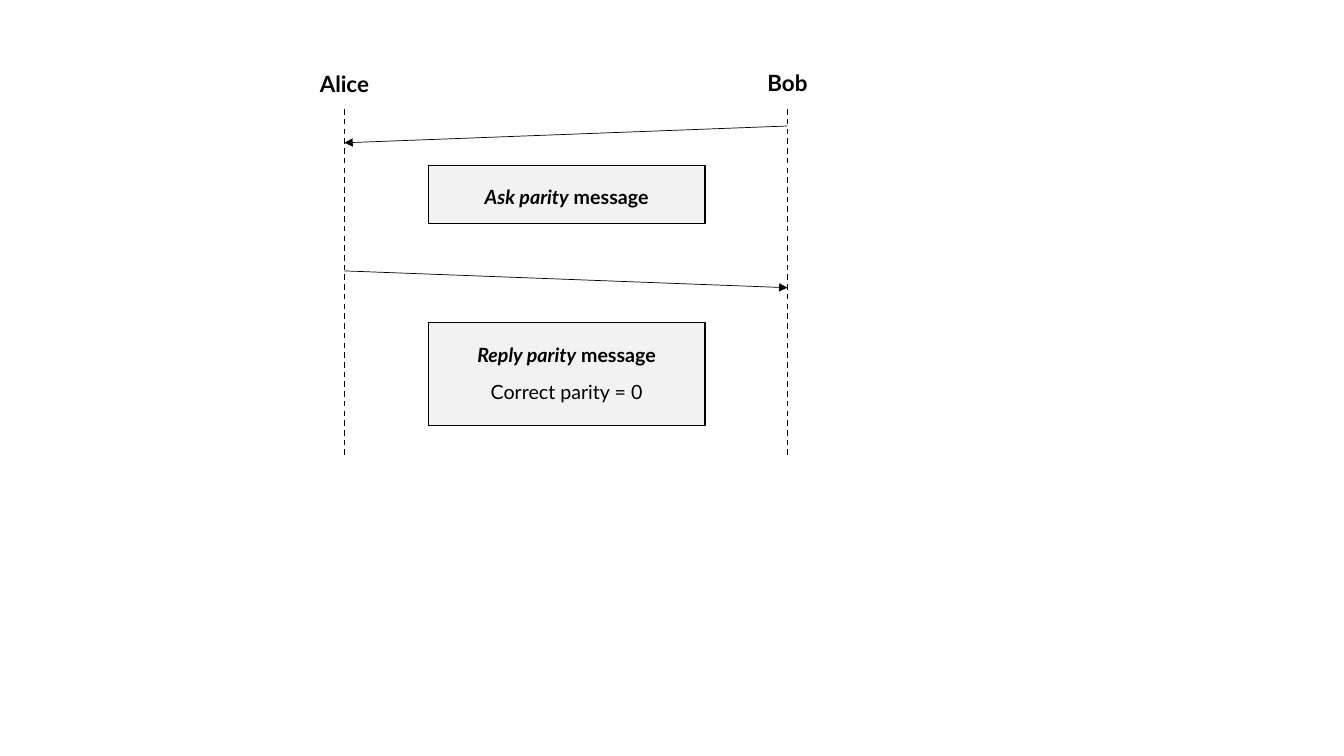
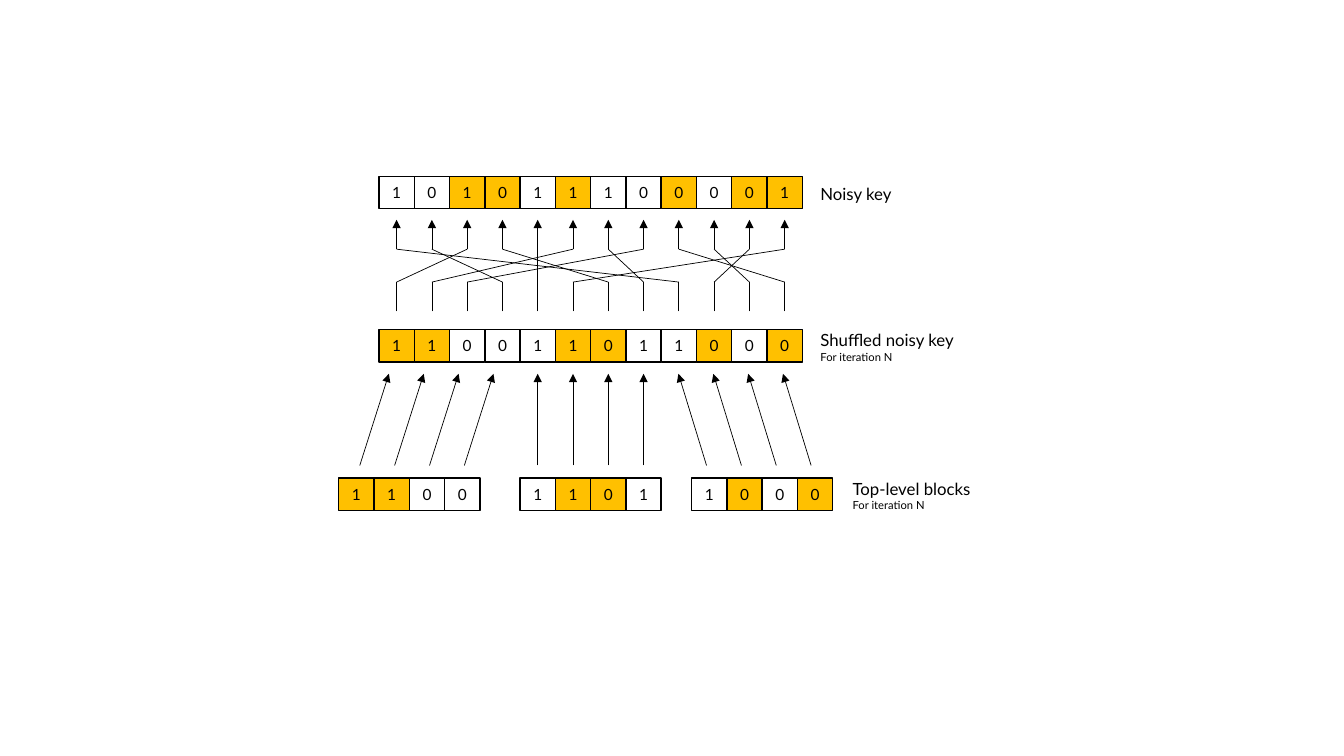
from dataclasses import dataclass

import lxml.etree
import pptx
import pptx.dml.color
import pptx.enum.dml
import pptx.enum.shapes
import pptx.enum.text
import pptx.oxml.ns
import pptx.util

Pt = pptx.util.Pt
RGB = pptx.dml.color.RGBColor
ALIGN = pptx.enum.text.PP_ALIGN
ANCHOR = pptx.enum.text.MSO_ANCHOR


@dataclass(frozen=True)
class Theme:
    font: str = "Lato"
    ink: RGB = RGB.from_string("000000")
    message_fill: RGB = RGB.from_string("F2F2F2")
    marked_fill: RGB = RGB.from_string("FFC000")
    party_size: float = 16
    message_size: float = 14
    caption_size: float = 12
    bit_size: float = 11
    note_size: float = 8
    outline: float = 1
    arrow: float = 0.5


THEME = Theme()

ALICE_X, BOB_X = 246, 562.5
LIFELINE_TOP, LIFELINE_BOTTOM = 78, 327.5

CELL_WIDTH, CELL_HEIGHT = 25.2, 23
KEY_LEFT = 270.7
NOISY_TOP, SHUFFLED_TOP, BLOCKS_TOP = 126, 235.5, 341.5
KEY_CAPTION_LEFT, BLOCKS_CAPTION_LEFT = 586, 609
HEAD_Y, CROSS_TOP, CROSS_BOTTOM, TAIL_Y = 157, 178, 201.5, 222.5
BLOCK_HEAD_Y, BLOCK_TAIL_Y = 267, 332.5

NOISY_KEY = "101011100001"
MARKED = {2, 3, 5, 8, 10, 11}
SHUFFLE = (2, 5, 7, 1, 4, 11, 3, 6, 0, 10, 9, 8)
BLOCK_SIZE = 4
BLOCKS = (
    (242, 257, 277.8, 24.9),
    (371.5, 384.1, 384.1, CELL_WIDTH),
    (494, 504.7, 484.6, 24.9),
)


def add_run(paragraph, text, size, bold=False, italic=False):
    run = paragraph.add_run()
    run.text = text
    run.font.name = THEME.font
    run.font.size = Pt(size)
    run.font.bold = bold
    run.font.italic = italic
    run.font.color.rgb = THEME.ink


def set_frame(frame, anchor, top_inset=0):
    frame.word_wrap = True
    frame.vertical_anchor = anchor
    frame.margin_left = frame.margin_right = frame.margin_bottom = 0
    frame.margin_top = Pt(top_inset)


def add_label(slide, left, top, width, height, lines, align, bold=False):
    frame = slide.shapes.add_textbox(Pt(left), Pt(top), Pt(width), Pt(height)).text_frame
    set_frame(frame, ANCHOR.MIDDLE)
    for index, (text, size) in enumerate(lines):
        paragraph = frame.add_paragraph() if index else frame.paragraphs[0]
        paragraph.alignment = align
        add_run(paragraph, text, size, bold)


def add_box(shapes, left, top, width, height, fill=None):
    box = shapes.add_shape(
        pptx.enum.shapes.MSO_SHAPE.RECTANGLE, Pt(left), Pt(top), Pt(width), Pt(height)
    )
    box.shadow.inherit = False
    if fill is None:
        box.fill.background()
    else:
        box.fill.solid()
        box.fill.fore_color.rgb = fill
    box.line.color.rgb = THEME.ink
    box.line.width = Pt(THEME.outline)
    return box


def add_line(shapes, start, end, width=THEME.arrow, arrow=False, dashed=False):
    line = shapes.add_connector(
        pptx.enum.shapes.MSO_CONNECTOR.STRAIGHT, *(Pt(value) for value in (*start, *end))
    )
    line.line.color.rgb = THEME.ink
    line.line.width = Pt(width)
    if dashed:
        line.line.dash_style = pptx.enum.dml.MSO_LINE.DASH
    qn = pptx.oxml.ns.qn
    properties = line._element.spPr
    if arrow:
        lxml.etree.SubElement(properties.find(qn("a:ln")), qn("a:tailEnd"), type="triangle")
    lxml.etree.SubElement(properties, qn("a:effectLst"))


def add_message(slide, top, height, kind, detail=None):
    frame = add_box(slide.shapes, 306, top, 197.5, height, THEME.message_fill).text_frame
    set_frame(frame, ANCHOR.TOP, 14.4)
    heading = frame.paragraphs[0]
    heading.alignment = ALIGN.CENTER
    add_run(heading, kind, THEME.message_size, bold=True, italic=True)
    add_run(heading, " message", THEME.message_size, bold=True)
    if detail:
        body = frame.add_paragraph()
        body.alignment = ALIGN.CENTER
        body.space_before = Pt(9.6)
        add_run(body, detail, THEME.message_size)


def add_bits(slide, left, top, positions):
    cells = slide.shapes.add_group_shape().shapes
    for column, position in enumerate(positions):
        fill = THEME.marked_fill if position in MARKED else None
        cell = add_box(cells, left + column * CELL_WIDTH, top, CELL_WIDTH, CELL_HEIGHT, fill)
        set_frame(cell.text_frame, ANCHOR.MIDDLE)
        paragraph = cell.text_frame.paragraphs[0]
        paragraph.alignment = ALIGN.CENTER
        add_run(paragraph, NOISY_KEY[position], THEME.bit_size)


def add_caption(slide, left, row_top, title, note=None):
    lines = [(title, THEME.caption_size)]
    if note:
        lines.append((note, THEME.note_size))
    add_label(slide, left, row_top - 5, 137, 34.5, lines, ALIGN.LEFT)


def add_shuffle_arrows(slide):
    def column_x(column):
        return KEY_LEFT + (column + 0.5) * CELL_WIDTH

    for shuffled, noisy in enumerate(SHUFFLE):
        tail_x, head_x = column_x(shuffled), column_x(noisy)
        if shuffled == noisy:
            add_line(slide.shapes, (tail_x, TAIL_Y), (head_x, HEAD_Y), arrow=True)
            continue
        add_line(slide.shapes, (tail_x, TAIL_Y), (tail_x, CROSS_BOTTOM))
        add_line(slide.shapes, (tail_x, CROSS_BOTTOM), (head_x, CROSS_TOP))
        add_line(slide.shapes, (head_x, CROSS_TOP), (head_x, HEAD_Y), arrow=True)


def add_blocks(slide):
    for number, (left, tail_x, head_x, step) in enumerate(BLOCKS):
        first = number * BLOCK_SIZE
        add_bits(slide, left, BLOCKS_TOP, SHUFFLE[first:first + BLOCK_SIZE])
        for column in range(BLOCK_SIZE):
            shift = column * step
            add_line(
                slide.shapes,
                (tail_x + shift, BLOCK_TAIL_Y),
                (head_x + shift, BLOCK_HEAD_Y),
                arrow=True,
            )


def build_parity_exchange(slide):
    lifelines = slide.shapes.add_group_shape().shapes
    for name, x, top in (("Alice", ALICE_X, 42), ("Bob", BOB_X, 41)):
        add_label(slide, x - 46.5, top, 93, 36, [(name, THEME.party_size)], ALIGN.CENTER, bold=True)
        add_line(lifelines, (x, LIFELINE_TOP), (x, LIFELINE_BOTTOM), THEME.outline, dashed=True)
    add_line(slide.shapes, (BOB_X, 90), (ALICE_X, 102), arrow=True)
    add_message(slide, 118, 41.75, "Ask parity")
    add_line(slide.shapes, (ALICE_X, 193.5), (BOB_X, 205.5), arrow=True)
    add_message(slide, 230.5, 73.5, "Reply parity", "Correct parity = 0")


def build_key_shuffle(slide):
    add_bits(slide, KEY_LEFT, NOISY_TOP, range(len(NOISY_KEY)))
    add_caption(slide, KEY_CAPTION_LEFT, NOISY_TOP, "Noisy key")
    add_shuffle_arrows(slide)
    add_bits(slide, KEY_LEFT, SHUFFLED_TOP, SHUFFLE)
    add_caption(slide, KEY_CAPTION_LEFT, SHUFFLED_TOP, "Shuffled noisy key", "For iteration N")
    add_blocks(slide)
    add_caption(slide, BLOCKS_CAPTION_LEFT, BLOCKS_TOP, "Top-level blocks", "For iteration N")


def main():
    deck = pptx.Presentation()
    deck.slide_width, deck.slide_height = Pt(960), Pt(540)
    blank = deck.slide_layouts.get_by_name("Blank")
    for build in (build_parity_exchange, build_key_shuffle):
        build(deck.slides.add_slide(blank))
    deck.save("out.pptx")


if __name__ == "__main__":
    main()
